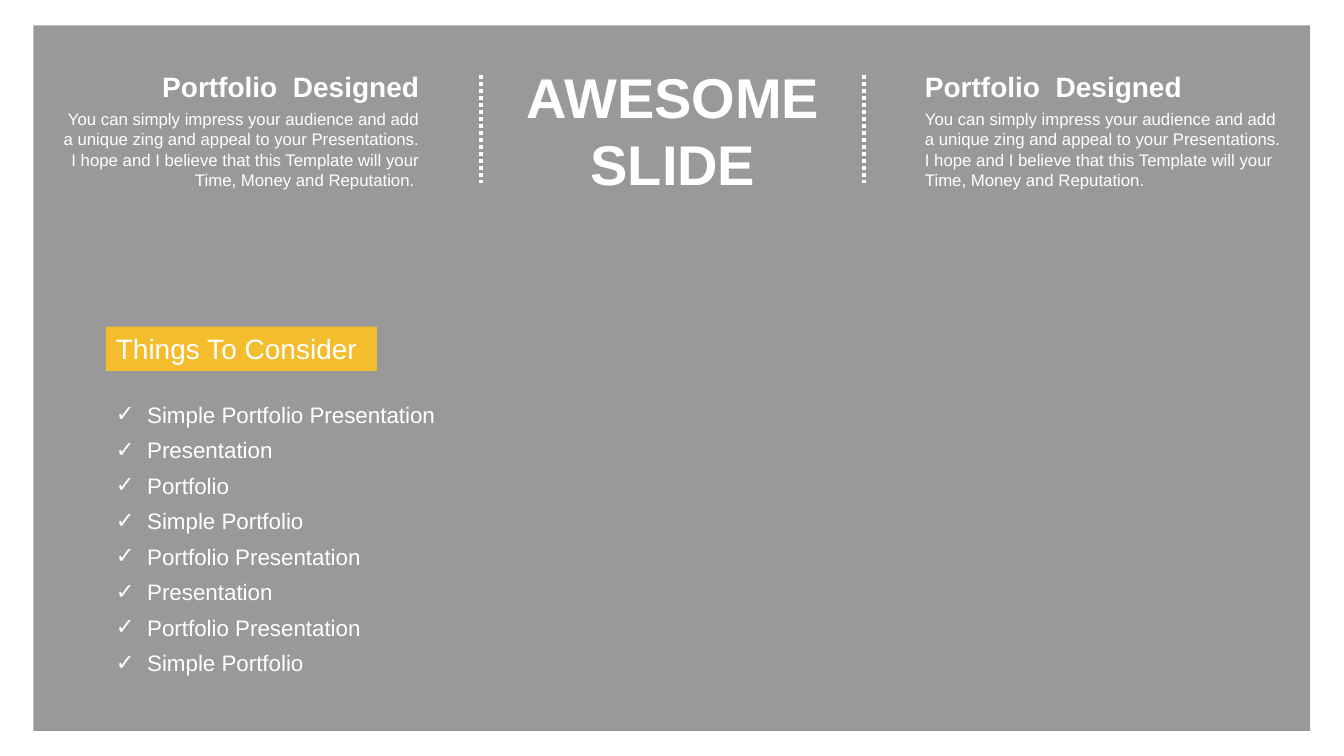
"""Builds the portfolio slide with a checklist."""
from lxml import etree
from pptx import Presentation
from pptx.dml.color import RGBColor
from pptx.enum.dml import MSO_LINE
from pptx.enum.shapes import MSO_CONNECTOR, MSO_SHAPE
from pptx.enum.text import MSO_ANCHOR, MSO_AUTO_SIZE, PP_ALIGN
from pptx.oxml.ns import qn
from pptx.util import Cm, Pt

LEFT, CENTER, RIGHT = PP_ALIGN.LEFT, PP_ALIGN.CENTER, PP_ALIGN.RIGHT
TOP, MIDDLE = MSO_ANCHOR.TOP, MSO_ANCHOR.MIDDLE
WHITE, BLACK, YELLOW = "FFFFFF", "000000", "F4BD2D"
FONT = "Arial"

TITLE = "AWESOME SLIDE"
HEADING = "Portfolio  Designed"
BODY = ("You can simply impress your audience and add a unique zing and appeal "
        "to your Presentations. I hope and I believe that this Template will "
        "your Time, Money and Reputation.")
COLUMNS = [(1.32, RIGHT, BODY + " "), (23.06, LEFT, BODY)]
DIVIDERS = [12.12, 21.77]
BANNER = "Things To Consider"
CHECKLIST = [
    "Simple Portfolio Presentation",
    "Presentation",
    "Portfolio",
    "Simple Portfolio",
    "Portfolio Presentation",
    "Presentation",
    "Portfolio Presentation",
    "Simple Portfolio",
]


def rgb(value):
    return RGBColor.from_string(value)


def box(x, y, w, h):
    return [Cm(v) for v in (x, y, w, h)]


def write(sp, text, size, align=LEFT, bold=False, anchor=TOP, spacing=1.0):
    tf = sp.text_frame
    tf.text = text
    tf.word_wrap = True
    tf.auto_size = MSO_AUTO_SIZE.NONE
    tf.vertical_anchor = anchor
    for p in tf.paragraphs:
        p.alignment = align
        p.line_spacing = spacing
        for r in p.runs:
            r.font.name = FONT
            r.font.size = Pt(size)
            r.font.bold = bold
            r.font.color.rgb = rgb(WHITE)
    return tf


def add_text(s, area, text, size, **style):
    return write(s.shapes.add_textbox(*area), text, size, **style)


def add_rect(s, area, color):
    sp = s.shapes.add_shape(MSO_SHAPE.RECTANGLE, *area)
    sp.shadow.inherit = False
    sp.fill.solid()
    sp.fill.fore_color.rgb = rgb(color)
    sp.line.fill.background()
    return sp


def add_panel(s):
    sp = add_rect(s, box(0.84, 0.64, 32.18, 17.78), BLACK)
    color = sp.fill._xPr.find(".//" + qn("a:srgbClr"))
    etree.SubElement(color, qn("a:alpha")).set("val", "40000")
    s.shapes._spTree.insert(2, sp._element)


def add_divider(s, x):
    line = s.shapes.add_connector(
        MSO_CONNECTOR.STRAIGHT, Cm(x), Cm(1.9), Cm(x), Cm(4.62))
    line.line.color.rgb = rgb(WHITE)
    line.line.width = Pt(2.5)
    line.line.dash_style = MSO_LINE.ROUND_DOT
    etree.SubElement(line._element.spPr, qn("a:effectLst"))


def add_checklist(s):
    tf = add_text(s, box(2.67, 10.11, 8.84, 7.06), "\n".join(CHECKLIST), 16,
                  spacing=0.8)
    for i, p in enumerate(tf.paragraphs):
        if i:
            p.space_before = Pt(10)
        pPr = p._p.get_or_add_pPr()
        pPr.set("marL", str(Cm(0.79)))
        pPr.set("indent", str(-Cm(0.79)))
        etree.SubElement(pPr, qn("a:buFont")).set("typeface", FONT)
        etree.SubElement(pPr, qn("a:buChar")).set("char", "✓")


def main():
    prs = Presentation()
    prs.slide_width, prs.slide_height = Cm(33.87), Cm(19.05)
    s = prs.slides.add_slide(prs.slide_layouts[5])

    add_panel(s)
    title = s.shapes.title
    title.left, title.top, title.width, title.height = box(12.78, 1.45, 8.36, 3.68)
    write(title, TITLE, 40, align=CENTER, bold=True)
    for x in DIVIDERS:
        add_divider(s, x)
    for x, align, body in COLUMNS:
        add_text(s, box(x, 1.63, 9.5, 0.99), HEADING, 20, align=align,
                 bold=True, anchor=MIDDLE, spacing=1.1)
        add_text(s, box(x, 2.62, 9.5, 2.31), body, 12, align=align)
    add_checklist(s)
    write(add_rect(s, box(2.67, 8.23, 6.83, 1.12), YELLOW), BANNER, 20)
    prs.save("out.pptx")


if __name__ == "__main__":
    main()
